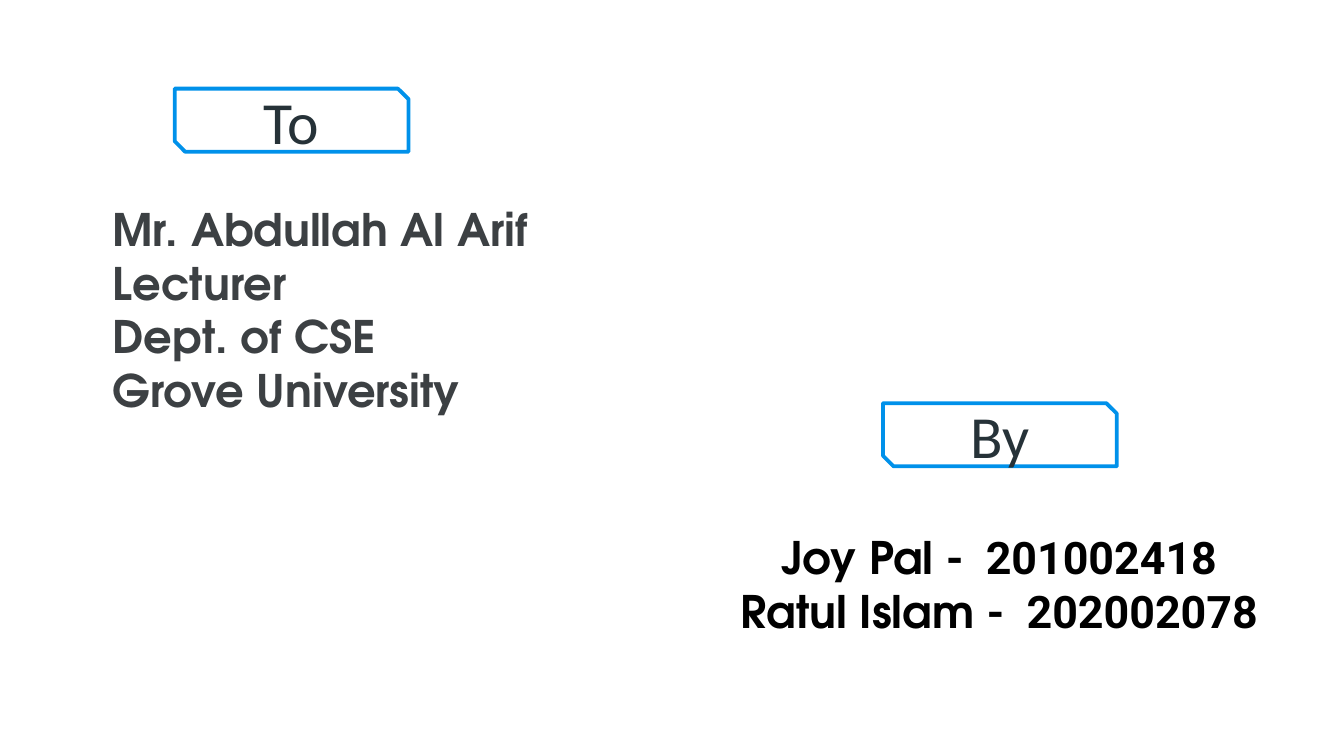
from pptx import Presentation
from pptx.dml.color import RGBColor
from pptx.enum.shapes import MSO_SHAPE
from pptx.enum.text import MSO_ANCHOR, MSO_AUTO_SIZE, PP_ALIGN
from pptx.util import Inches, Pt

COLORS = {
    "white": "FFFFFF",
    "blue": "0091EA",
    "label": "263238",
    "recipient": "3C4043",
    "author": "000000",
}
LABEL_FONT, NAME_FONT, NUMBER_FONT = "Calibri", "TeX Gyre Adventor", "Roboto"
LABEL_SIZE = (1.74, 0.47)
SLIDE_WIDTH = 10
SLIDE_HEIGHT = SLIDE_WIDTH * 9 / 16

RECIPIENT = ["Mr. Abdullah Al Arif", "Lecturer", "Dept. of CSE", "Grove University"]
AUTHORS = [("Joy Pal ", "-  201002418"), ("Ratul Islam ", "-  202002078")]


def color(name):
    return RGBColor.from_string(COLORS[name])


def add_run(paragraph, text, font, size, color_name, bold=False):
    run = paragraph.add_run()
    run.text = text
    run.font.name = font
    run.font.size = Pt(size)
    run.font.bold = bold
    run.font.color.rgb = color(color_name)


def add_label(slide, left, top, text):
    """Outlined box with two snipped corners and a centred word."""
    shape = slide.shapes.add_shape(
        MSO_SHAPE.SNIP_2_DIAG_RECTANGLE,
        *(Inches(length) for length in (left, top, *LABEL_SIZE)))
    shape.shadow.inherit = False
    shape.fill.solid()
    shape.fill.fore_color.rgb = color("white")
    shape.line.color.rgb = color("blue")
    shape.line.width = Pt(2)
    shape.text_frame.vertical_anchor = MSO_ANCHOR.MIDDLE
    paragraph = shape.text_frame.paragraphs[0]
    paragraph.alignment = PP_ALIGN.CENTER
    add_run(paragraph, text, LABEL_FONT, 32, "label")


def add_lines(slide, box, lines, color_name, alignment, wrap):
    """Bold text box; each line is a list of (text, font) runs."""
    text_box = slide.shapes.add_textbox(*(Inches(length) for length in box))
    frame = text_box.text_frame
    frame.word_wrap = wrap
    frame.auto_size = MSO_AUTO_SIZE.SHAPE_TO_FIT_TEXT
    for index, runs in enumerate(lines):
        paragraph = frame.add_paragraph() if index else frame.paragraphs[0]
        paragraph.alignment = alignment
        for text, font in runs:
            add_run(paragraph, text, font, 24, color_name, bold=True)


def main():
    presentation = Presentation()
    presentation.slide_width = Inches(SLIDE_WIDTH)
    presentation.slide_height = Inches(SLIDE_HEIGHT)
    slide = presentation.slides.add_slide(presentation.slide_layouts[6])

    # Recipient
    add_label(slide, 1.3, 0.66, "To")
    add_lines(slide, (0.74, 1.45, 3.36, 1.72),
              [[(line, NAME_FONT)] for line in RECIPIENT],
              "recipient", PP_ALIGN.LEFT, wrap=False)

    # Authors
    add_label(slide, 6.57, 3, "By")
    add_lines(slide, (5.18, 3.89, 4.51, 0.91),
              [[(name, NAME_FONT), (number, NUMBER_FONT)] for name, number in AUTHORS],
              "author", PP_ALIGN.CENTER, wrap=True)

    presentation.save("out.pptx")


if __name__ == "__main__":
    main()
